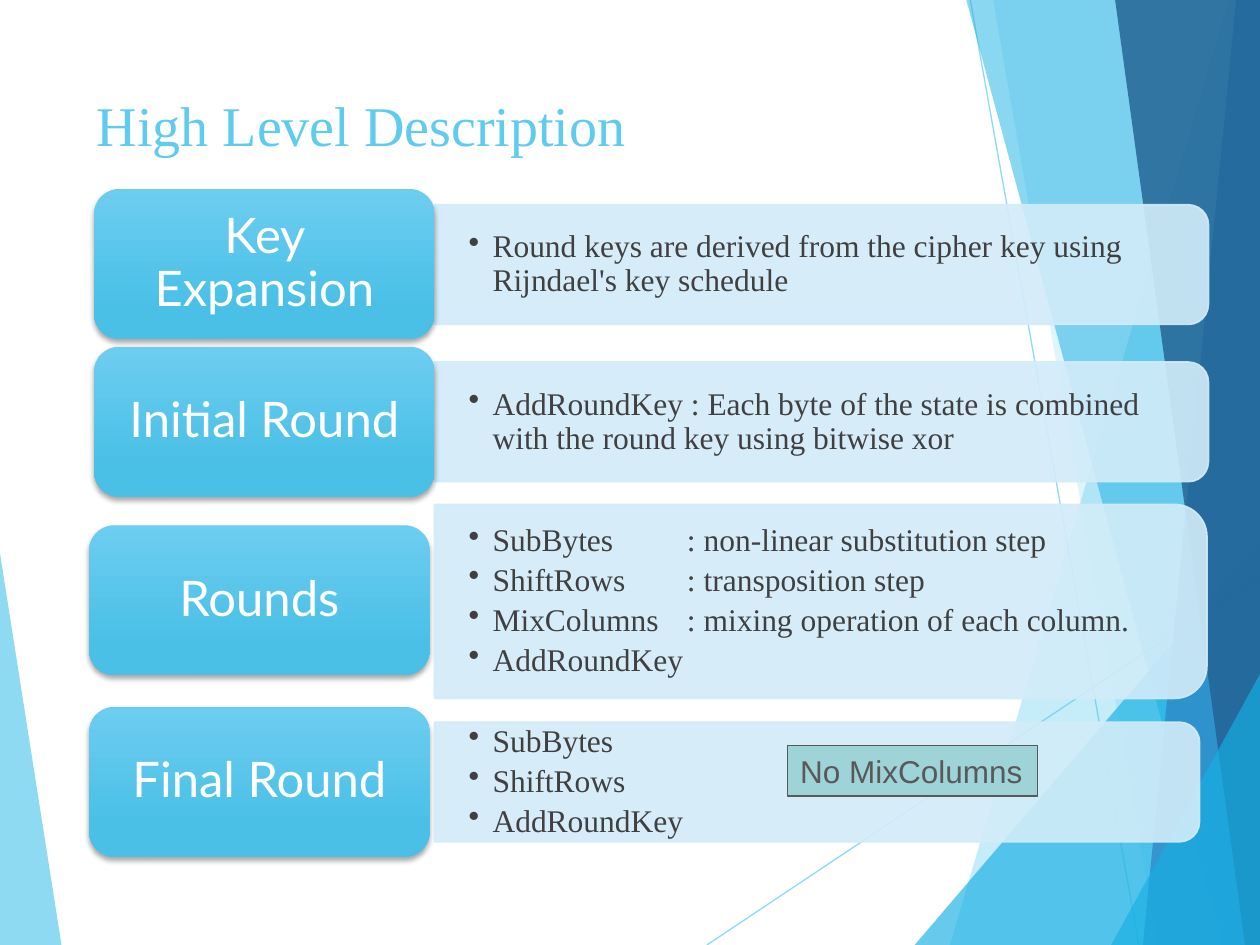
"""Build the slide that outlines the AES rounds."""
import pptx
import pptx.util
from lxml import etree
from pptx.dml.color import RGBColor
from pptx.enum.shapes import MSO_CONNECTOR, MSO_SHAPE
from pptx.enum.text import MSO_ANCHOR, PP_ALIGN
from pptx.oxml.ns import qn
from pptx.util import Cm

SKY = RGBColor(0x5F, 0xCB, 0xEF)
CYAN = RGBColor(0x17, 0xB0, 0xE4)
BLUE = RGBColor(0x2E, 0x83, 0xC3)
NAVY = RGBColor(0x22, 0x62, 0x92)
PALE = RGBColor(0xD2, 0xEC, 0xF9)
STEP_TOP = RGBColor(0x6C, 0xCD, 0xF0)
STEP_BOTTOM = RGBColor(0x4B, 0xC0, 0xE6)
TEAL = RGBColor(0x9E, 0xD3, 0xD7)
WHITE = RGBColor(0xFF, 0xFF, 0xFF)
INK = RGBColor(0x40, 0x40, 0x40)
GRAY = RGBColor(0x59, 0x59, 0x59)

W, H = 25.4, 19.05
PANEL_LEFT, STEP_W, STEP_H = 8.76, 6.86, 3.02

RAYS = [((14.25, H), (W, 11.61)), ((19.56, 0), (22.96, H))]
FACETS = [
    ([(0, 11.15), (1.24, H), (0, H)], SKY, 70),
    ([(24.77, 0), (19.15, H), (W, H), (W, 0)], SKY, 36),
    ([(20.02, 0), (23.34, H), (W, H), (W, 0)], SKY, 20),
    ([(18.44, H), (W, 10.9), (W, H)], CYAN, 66),
    ([(19.48, 0), (24.64, H), (W, H), (W, 0)], CYAN, 50),
    ([(24.92, 0), (23.04, H), (W, H), (W, 0)], BLUE, 70),
    ([(22.48, 0), (25.1, H), (W, H), (W, 0)], NAVY, 82),
    ([(22.4, H), (W, 13.59), (W, H)], CYAN, 66),
]
STEPS = [
    ("Key Expansion", 1.9, 3.81, (4.13, 15.6, 2.41),
     ["Round keys are derived from the cipher key using Rijndael's key schedule"]),
    ("Initial Round", 1.9, 6.99, (7.3, 15.6, 2.41),
     ["AddRoundKey : Each byte of the state is combined with the round key using bitwise xor"]),
    ("Rounds", 1.8, 10.59, (10.17, 15.57, 3.91),
     ["SubBytes\t: non-linear substitution step", "ShiftRows\t: transposition step",
      "MixColumns\t: mixing operation of each column.", "AddRoundKey"]),
    ("Final Round", 1.8, 14.25, (14.56, 15.42, 2.41),
     ["SubBytes", "ShiftRows", "AddRoundKey"]),
]


class Deck:
    """Hold the style and the current slide."""

    serif, sans, label = "Times New Roman", "Arial", "Lato"

    def __init__(self):
        self.prs = pptx.Presentation()
        self.prs.slide_width, self.prs.slide_height = Cm(W), Cm(H)
        self.s = self.prs.slides.add_slide(self.prs.slide_layouts[5])

    def fade(self, sp, percent):
        for clr in sp._element.spPr.iter(qn("a:srgbClr")):
            etree.SubElement(clr, qn("a:alpha"), val=str(percent * 1000))

    def font(self, p, name, size, color):
        for r in p.runs:
            r.font.name, r.font.size = name, pptx.util.Pt(size)
            r.font.color.rgb = color

    def inset(self, tf, x, y):
        tf.margin_left = tf.margin_right = Cm(x)
        tf.margin_top = tf.margin_bottom = Cm(y)
        tf.vertical_anchor = MSO_ANCHOR.MIDDLE
        tf.word_wrap = True

    def shape(self, kind, x, y, w, h):
        sp = self.s.shapes.add_shape(kind, Cm(x), Cm(y), Cm(w), Cm(h))
        sp.shadow.inherit = False
        return sp

    def facet(self, points, color, alpha):
        pts = [(Cm(x), Cm(y)) for x, y in points]
        fb = self.s.shapes.build_freeform(*pts[0])
        fb.add_line_segments(pts[1:], close=True)
        sp = fb.convert_to_shape()
        sp.shadow.inherit = False
        sp.fill.solid()
        sp.fill.fore_color.rgb = color
        sp.line.fill.background()
        self.fade(sp, alpha)

    def ray(self, start, end):
        ends = [Cm(v) for v in start + end]
        cn = self.s.shapes.add_connector(MSO_CONNECTOR.STRAIGHT, *ends)
        cn.line.color.rgb, cn.line.width = SKY, pptx.util.Pt(0.75)
        etree.SubElement(cn._element.spPr, qn("a:effectLst"))
        self.fade(cn, 70)

    def title(self, text):
        sp = self.s.shapes.title
        sp.left, sp.top, sp.width, sp.height = Cm(1.7), Cm(1.7), Cm(17.63), Cm(3.66)
        tf = sp.text_frame
        tf.text = text
        tf.vertical_anchor = MSO_ANCHOR.TOP
        tf.paragraphs[0].alignment = PP_ALIGN.LEFT
        self.font(tf.paragraphs[0], self.serif, 32, SKY)

    def panel(self, x, y, w, h):
        sp = self.shape(MSO_SHAPE.ROUND_2_SAME_RECTANGLE,
                        x + (w - h) / 2, y + (h - w) / 2, h, w)
        sp.rotation = 90
        sp.fill.solid()
        sp.fill.fore_color.rgb = PALE
        sp.line.color.rgb, sp.line.width = PALE, pptx.util.Pt(1)
        self.fade(sp, 90)

    def bullets(self, x, y, w, h, items):
        tf = self.s.shapes.add_textbox(Cm(x), Cm(y), Cm(w), Cm(h)).text_frame
        self.inset(tf, 0.69, 0.36)
        tf.text = "\n".join(items)
        for p in tf.paragraphs:
            p.line_spacing, p.space_after = 0.9, pptx.util.Pt(3.4)
            pPr = p._p.get_or_add_pPr()
            pPr.set("marL", str(Cm(0.48)))
            pPr.set("indent", str(-Cm(0.48)))
            etree.SubElement(pPr, qn("a:buChar"), char="•")
            tabs = etree.SubElement(pPr, qn("a:tabLst"))
            etree.SubElement(tabs, qn("a:tab"), pos=str(Cm(4.4)), algn="l")
            self.font(p, self.serif, 18, INK)

    def step(self, x, y, text):
        sp = self.shape(MSO_SHAPE.ROUNDED_RECTANGLE, x, y, STEP_W, STEP_H)
        sp.fill.gradient()
        sp.fill.gradient_angle = 270
        for stop, color, at in zip(sp.fill.gradient_stops, (STEP_TOP, STEP_BOTTOM), (0, 0.78)):
            stop.color.rgb, stop.position = color, at
        sp.line.fill.background()
        glow = etree.SubElement(sp._element.spPr.find(qn("a:effectLst")), qn("a:outerShdw"),
                                blurRad="38100", dist="25400", dir="5400000", rotWithShape="0")
        clr = etree.SubElement(glow, qn("a:srgbClr"), val="000000")
        etree.SubElement(clr, qn("a:alpha"), val="35000")
        tf = sp.text_frame
        self.inset(tf, 0.46, 0.3)
        tf.text = text
        p = tf.paragraphs[0]
        p.alignment, p.line_spacing = PP_ALIGN.CENTER, 0.9
        self.font(p, self.label, 28, WHITE)

    def note(self, x, y, w, h, text):
        sp = self.shape(MSO_SHAPE.RECTANGLE, x, y, w, h)
        sp.fill.solid()
        sp.fill.fore_color.rgb = TEAL
        sp.line.color.rgb, sp.line.width = GRAY, pptx.util.Pt(0.75)
        tf = sp.text_frame
        tf.word_wrap = False
        tf.text = text
        tf.paragraphs[0].alignment = PP_ALIGN.LEFT
        self.font(tf.paragraphs[0], self.sans, 18, GRAY)


def main():
    deck = Deck()
    deck.facet(*FACETS[0])
    for ray in RAYS:
        deck.ray(*ray)
    for facet in FACETS[1:]:
        deck.facet(*facet)
    deck.title("High Level Description")
    for name, left, top, (y, w, h), items in STEPS:
        deck.panel(PANEL_LEFT, y, w, h)
        deck.bullets(PANEL_LEFT, y, w - 0.12, h, items)
        deck.step(left, top, name)
    deck.note(15.88, 15.03, 5.03, 1.02, "No MixColumns")
    deck.prs.save("out.pptx")


if __name__ == "__main__":
    main()
